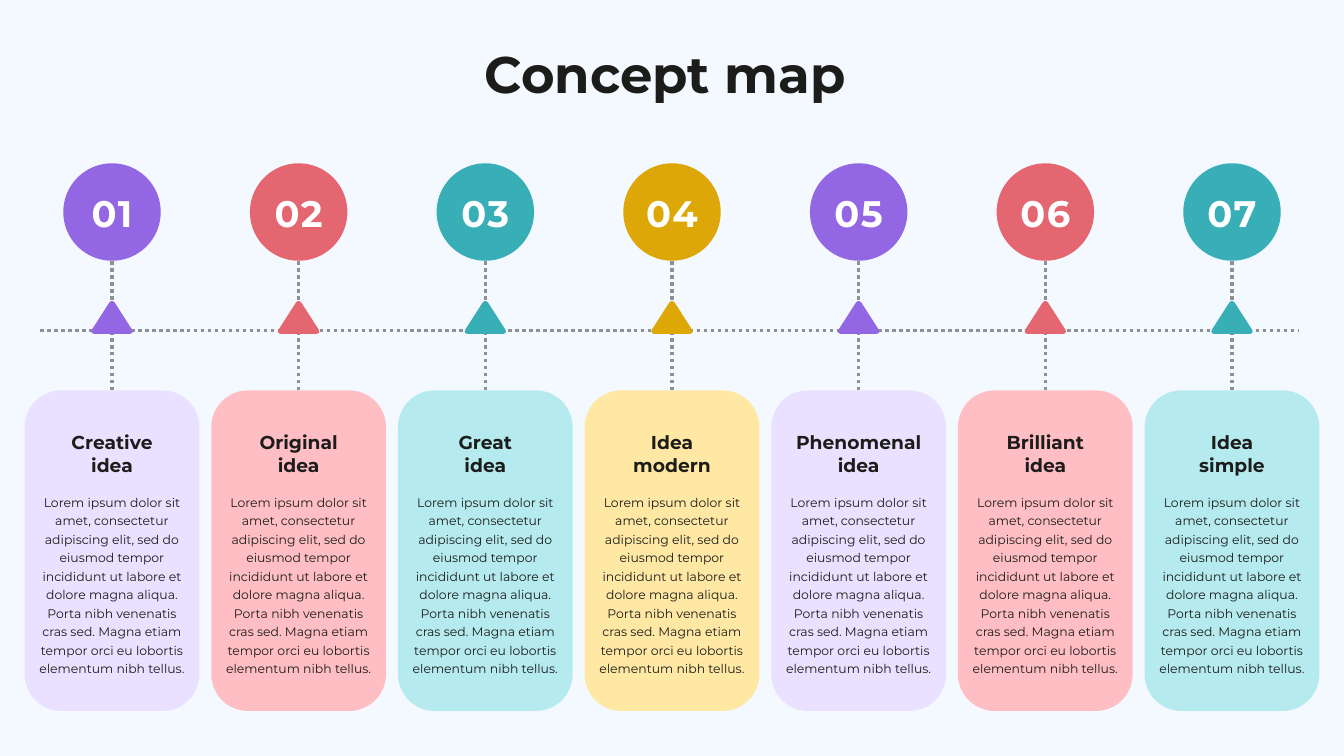
from dataclasses import dataclass
from lxml.etree import SubElement
from pptx import Presentation
from pptx.dml.color import RGBColor
from pptx.enum.dml import MSO_LINE
from pptx.enum.shapes import MSO_CONNECTOR, MSO_SHAPE
from pptx.enum.text import MSO_ANCHOR, MSO_AUTO_SIZE, PP_ALIGN
from pptx.oxml.ns import qn
from pptx.util import Inches, Pt

# Content: heading, tone, heading width
TITLE = "Concept map "
IDEAS = [
    ("Creative idea", "violet", 1.62),
    ("Original idea", "coral", 1.62),
    ("Great idea", "teal", 1.13),
    ("Idea modern", "gold", 1.62),
    ("Phenomenal idea", "violet", 1.98),
    ("Brilliant idea", "coral", 1.62),
    ("Idea simple", "teal", 1.62),
]
BODY = (
    "Lorem ipsum dolor sit amet, consectetur adipiscing elit, sed do eiusmod "
    "tempor incididunt ut labore et dolore magna aliqua. Porta nibh venenatis "
    "cras sed. Magna etiam tempor orci eu lobortis elementum nibh tellus."
)
TONES = {  # strong, pale
    "violet": ("9366E4", "EAE0FF"),
    "coral": ("E46671", "FFBEC4"),
    "teal": ("38AEB6", "B5EBEF"),
    "gold": ("DDA707", "FFE8A3"),
}


@dataclass(frozen=True)
class Style:
    size: float
    lead: float
    color: str
    bold: bool = True
    track: float = 0


@dataclass(frozen=True)
class Theme:
    font: str = "Montserrat"
    back: str = "F4F8FF"
    rule: str = "8D9193"
    weight: float = 3.75
    title: Style = Style(55, 58.3, "1C1C1A")
    number: Style = Style(39.5, 55.3, "FFFFFF", track=1.6)
    head: Style = Style(20, 24.8, "1C1C1A")
    body: Style = Style(13.3, 19.8, "1C1C1A", bold=False)


THEME = Theme()

# Grid, in inches
WIDE, HIGH = 20, 11.25
PITCH = WIDE / 7.2
DISC_TOP, DISC = 2.43, 1.45
AXIS = 4.92
CARD_TOP, CARD_W, CARD_H = 5.81, 2.6, 4.77
ROUND = 0.21
PEAK, FOOT, HALF = 4.44, 4.97, 0.34  # marker before its corners are rounded


def paint(shape, color):
    shape.shadow.inherit = False
    shape.fill.solid()
    shape.fill.fore_color.rgb = RGBColor.from_string(color)
    shape.line.fill.background()


def write(box, text, style):
    frame = box.text_frame
    frame.text = text
    frame.word_wrap = True
    frame.auto_size = MSO_AUTO_SIZE.NONE
    frame.vertical_anchor = MSO_ANCHOR.TOP
    frame.margin_left = frame.margin_right = 0
    frame.margin_top = frame.margin_bottom = 0
    para = frame.paragraphs[0]
    para.alignment = PP_ALIGN.CENTER
    para.line_spacing = Pt(style.lead)
    para.space_before = Pt(0)
    run = para.runs[0]
    run.font.name = THEME.font
    run.font.size = Pt(style.size)
    run.font.bold = style.bold
    run.font.color.rgb = RGBColor.from_string(style.color)
    if style.track:
        run.font._element.set("spc", str(round(style.track * 100)))


def label(slide, mid, top, wide, high, text, style):
    box = slide.shapes.add_textbox(
        Inches(mid - wide / 2), Inches(top), Inches(wide), Inches(high))
    write(box, text, style)


def block(slide, kind, mid, top, wide, high, color):
    shape = slide.shapes.add_shape(
        kind, Inches(mid - wide / 2), Inches(top), Inches(wide), Inches(high))
    paint(shape, color)
    return shape


def dots(slide, *ends):
    line = slide.shapes.add_connector(
        MSO_CONNECTOR.STRAIGHT, *(Inches(end) for end in ends))
    line.line.color.rgb = RGBColor.from_string(THEME.rule)
    line.line.width = Pt(THEME.weight)
    line.line.dash_style = MSO_LINE.ROUND_DOT
    SubElement(line._element.spPr, qn("a:effectLst"))


def blend(start, end, share):
    return tuple(a + (b - a) * share for a, b in zip(start, end))


def marker(slide, mid, color, cut=0.15, steps=8):
    """Draw a triangle, each corner replaced by a quadratic curve."""
    tips = [(mid, PEAK), (mid + HALF, FOOT), (mid - HALF, FOOT)]
    points = []
    for i, tip in enumerate(tips):
        start = blend(tip, tips[i - 1], cut)
        end = blend(tip, tips[(i + 1) % 3], cut)
        for step in range(steps + 1):
            t = step / steps
            x, y = blend(blend(start, tip, t), blend(tip, end, t), t)
            points.append((Inches(x), Inches(y)))
    pen = slide.shapes.build_freeform(*points[0])
    pen.add_line_segments(points[1:], close=True)
    paint(pen.convert_to_shape(), color)


def column(slide, index, head, tone, head_w):
    mid = WIDE / 2 + (index - len(IDEAS) // 2) * PITCH
    strong, pale = TONES[tone]
    dots(slide, mid, CARD_TOP, mid, DISC_TOP + DISC)
    card = block(slide, MSO_SHAPE.ROUNDED_RECTANGLE,
                 mid, CARD_TOP, CARD_W, CARD_H, pale)
    card.adjustments[0] = ROUND
    block(slide, MSO_SHAPE.OVAL, mid, DISC_TOP, DISC, DISC, strong)
    marker(slide, mid, strong)
    label(slide, mid, 2.73, 1.13, 0.73, f"{index + 1:02}", THEME.number)
    label(slide, mid, 6.4, head_w, 0.68, head, THEME.head)
    label(slide, mid, 7.31, 2.25, 2.7, BODY, THEME.body)


def main():
    deck = Presentation()
    deck.slide_width, deck.slide_height = Inches(WIDE), Inches(HIGH)
    slide = deck.slides.add_slide(deck.slide_layouts[5])
    slide.background.fill.solid()
    slide.background.fill.fore_color.rgb = RGBColor.from_string(THEME.back)

    # Title
    title = slide.shapes.title
    title.left, title.top = Inches(6.15), Inches(0.74)
    title.width, title.height = Inches(7.71), Inches(0.84)
    write(title, TITLE, THEME.title)

    # Timeline and its columns
    dots(slide, 0.6, AXIS, 19.32, AXIS)
    for index, idea in enumerate(IDEAS):
        column(slide, index, *idea)
    deck.save("out.pptx")


if __name__ == "__main__":
    main()
